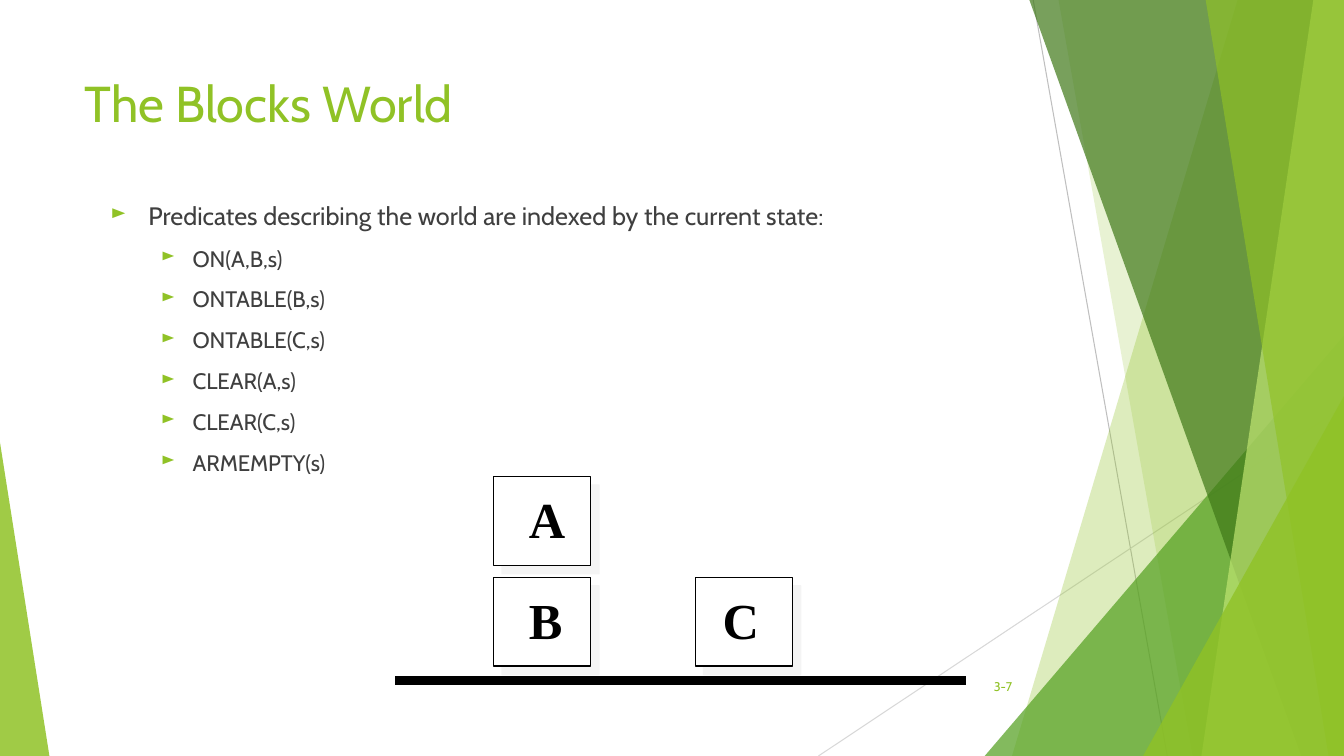
from typing import NamedTuple

from lxml.etree import SubElement
from pptx import Presentation
from pptx.dml.color import RGBColor
from pptx.enum.shapes import MSO_CONNECTOR, MSO_SHAPE
from pptx.enum.text import MSO_ANCHOR, PP_ALIGN
from pptx.oxml.ns import qn
from pptx.util import Pt

LIME = RGBColor(0x90, 0xC2, 0x26)
GREEN = RGBColor(0x54, 0xA0, 0x21)
DARK_GREEN = RGBColor(0x3F, 0x78, 0x18)
PALE_LIME = RGBColor(0xBF, 0xE4, 0x71)
SILVER = RGBColor(0xBF, 0xBF, 0xBF)
LIGHT_SILVER = RGBColor(0xD8, 0xD8, 0xD8)
CHARCOAL = RGBColor(0x3F, 0x3F, 0x3F)
SHADOW_GRAY = RGBColor(0xEB, 0xEB, 0xEB)
BLACK = RGBColor(0, 0, 0)
WHITE = RGBColor(0xFF, 0xFF, 0xFF)

WIDTH, HEIGHT = 960, 540
BODY_FONT, BLOCK_FONT = "Cabin", "Times New Roman"
BLOCK_WIDTH, BLOCK_HEIGHT = 69.3, 63.5
PREDICATES = ["ON(A,B,s)", "ONTABLE(B,s)", "ONTABLE(C,s)",
              "CLEAR(A,s)", "CLEAR(C,s)", "ARMEMPTY(s)"]


class Line(NamedTuple):
    start: tuple[float, float]
    end: tuple[float, float]
    color: RGBColor
    weight: float


class Band(NamedTuple):
    top_left: float
    bottom_left: float
    color: RGBColor
    opacity: int


class Wedge(NamedTuple):
    left: float
    top: float
    width: float
    apex: float
    color: RGBColor
    opacity: int


class Block(NamedTuple):
    letter: str
    left: float
    top: float
    letter_indent: float


class Level(NamedTuple):
    indent: float
    hanging: float
    size: float
    space_before: float


BACK_DECOR = [
    Line((738, 0), (833.8, HEIGHT), SILVER, 0.75),
    Line((WIDTH, 290.2), (584.6, HEIGHT), LIGHT_SILVER, 0.75),
    Band(884.2, 722.9, LIME, 30),
    Band(756, 851.8, LIME, 20),
    Wedge(703.4, 239.8, 256.6, 1, GREEN, 72),
    Band(735.1, 929.5, DARK_GREEN, 70),
    Band(938.2, 858.2, PALE_LIME, 70),
    Band(861.1, 949, LIME, 65),
    Wedge(816.5, 283, 143.5, 1, LIME, 80),
    Wedge(0, 316.1, 35.3, 0, LIME, 85),
]
TABLE_LINE = Line((282.2, 486), (689.8, 486), BLACK, 6)
BLOCKS = [
    Block("A", 352.6, 340.4, 20.3),
    Block("B", 352.6, 412.4, 20.3),
    Block("C", 496.6, 412.4, 14.6),
]
TOP_LEVEL = Level(27, 27, 18, 0)
SUB_LEVEL = Level(58.5, 22.5, 16, 10)


def fill_translucent(shape, color: RGBColor, opacity: int) -> None:
    shape.shadow.inherit = False
    shape.line.fill.background()
    shape.fill.solid()
    shape.fill.fore_color.rgb = color
    color_element = shape.fill._xPr.find(qn("a:solidFill"))[0]
    SubElement(color_element, qn("a:alpha"), val=str(opacity * 1000))


def draw_line(slide, line: Line) -> None:
    connector = slide.shapes.add_connector(
        MSO_CONNECTOR.STRAIGHT, *map(Pt, line.start + line.end))
    connector.line.color.rgb = line.color
    connector.line.width = Pt(line.weight)
    SubElement(connector._element.spPr, qn("a:effectLst"))


def draw_band(slide, band: Band) -> None:
    builder = slide.shapes.build_freeform(Pt(band.top_left), Pt(-0.6))
    corners = [(WIDTH, -0.6), (WIDTH, HEIGHT), (band.bottom_left, HEIGHT)]
    builder.add_line_segments([(Pt(x), Pt(y)) for x, y in corners], close=True)
    fill_translucent(builder.convert_to_shape(), band.color, band.opacity)


def draw_wedge(slide, wedge: Wedge) -> None:
    shape = slide.shapes.add_shape(
        MSO_SHAPE.ISOSCELES_TRIANGLE, Pt(wedge.left), Pt(wedge.top),
        Pt(wedge.width), Pt(HEIGHT - wedge.top))
    shape.adjustments[0] = wedge.apex
    fill_translucent(shape, wedge.color, wedge.opacity)


def add_text(slide, box: tuple[float, float, float, float], text: str,
             size: float, color: RGBColor, font_name: str = BODY_FONT):
    frame = slide.shapes.add_textbox(*map(Pt, box)).text_frame
    frame.word_wrap = True
    frame.text = text
    format_font(frame.paragraphs[0], size, color, font_name)
    return frame


def format_font(paragraph, size: float, color: RGBColor, font_name: str) -> None:
    for run in paragraph.runs:
        run.font.size = Pt(size)
        run.font.name = font_name
        run.font.color.rgb = color


def draw_block(slide, block: Block) -> None:
    shape = slide.shapes.add_shape(
        MSO_SHAPE.RECTANGLE, Pt(block.left), Pt(block.top),
        Pt(BLOCK_WIDTH), Pt(BLOCK_HEIGHT))
    shape.fill.solid()
    shape.fill.fore_color.rgb = WHITE
    shape.line.color.rgb = BLACK
    shape.line.width = Pt(1)
    effects = SubElement(shape._element.spPr, qn("a:effectLst"))
    shadow = SubElement(effects, qn("a:outerShdw"), blurRad="0",
                        dist=str(Pt(8.5)), dir="2700000", algn="ctr", rotWithShape="0")
    color = SubElement(shadow, qn("a:srgbClr"), val=str(SHADOW_GRAY))
    SubElement(color, qn("a:alpha"), val="50000")


def draw_letter(slide, block: Block) -> None:
    box = (block.left + block.letter_indent, block.top + 11.6, 36, 42.5)
    frame = add_text(slide, box, block.letter, 36, BLACK, BLOCK_FONT)
    frame.word_wrap = False
    frame.margin_left = frame.margin_right = Pt(5)
    frame.margin_top = frame.margin_bottom = Pt(2.5)
    frame.paragraphs[0].line_spacing = 0.88
    frame.paragraphs[0].runs[0].font.bold = True


def format_bullet(paragraph, level: Level) -> None:
    properties = paragraph._p.get_or_add_pPr()
    properties.set("marL", str(Pt(level.indent)))
    properties.set("indent", str(Pt(-level.hanging)))
    bullet_color = SubElement(properties, qn("a:buClr"))
    SubElement(bullet_color, qn("a:srgbClr"), val=str(LIME))
    SubElement(properties, qn("a:buSzPct"), val="80000")
    SubElement(properties, qn("a:buChar"), char="►")
    if level.space_before:
        paragraph.space_before = Pt(level.space_before)
    format_font(paragraph, level.size, CHARCOAL, BODY_FONT)


def add_predicates(slide) -> None:
    frame = add_text(
        slide, (72, 139.7, 604, 213),
        "Predicates describing the world are indexed by the current state:",
        TOP_LEVEL.size, CHARCOAL)
    format_bullet(frame.paragraphs[0], TOP_LEVEL)
    for predicate in PREDICATES:
        paragraph = frame.add_paragraph()
        paragraph.text = predicate
        paragraph.level = 1
        format_bullet(paragraph, SUB_LEVEL)


def main() -> None:
    presentation = Presentation()
    presentation.slide_width, presentation.slide_height = Pt(WIDTH), Pt(HEIGHT)
    slide = presentation.slides.add_slide(presentation.slide_layouts[6])
    painters = {Line: draw_line, Band: draw_band, Wedge: draw_wedge}
    for item in BACK_DECOR:
        painters[type(item)](slide, item)
    number = add_text(slide, (676, 475.9, 54, 28.8), "3-7", 9, LIME)
    number.vertical_anchor = MSO_ANCHOR.MIDDLE
    number.paragraphs[0].alignment = PP_ALIGN.RIGHT
    add_text(slide, (53.3, 48.2, 676.8, 103.7), "The Blocks World", 36, LIME)
    for block in BLOCKS:
        draw_block(slide, block)
    draw_line(slide, TABLE_LINE)
    for block in BLOCKS:
        draw_letter(slide, block)
    add_predicates(slide)
    presentation.save("out.pptx")


if __name__ == "__main__":
    main()
